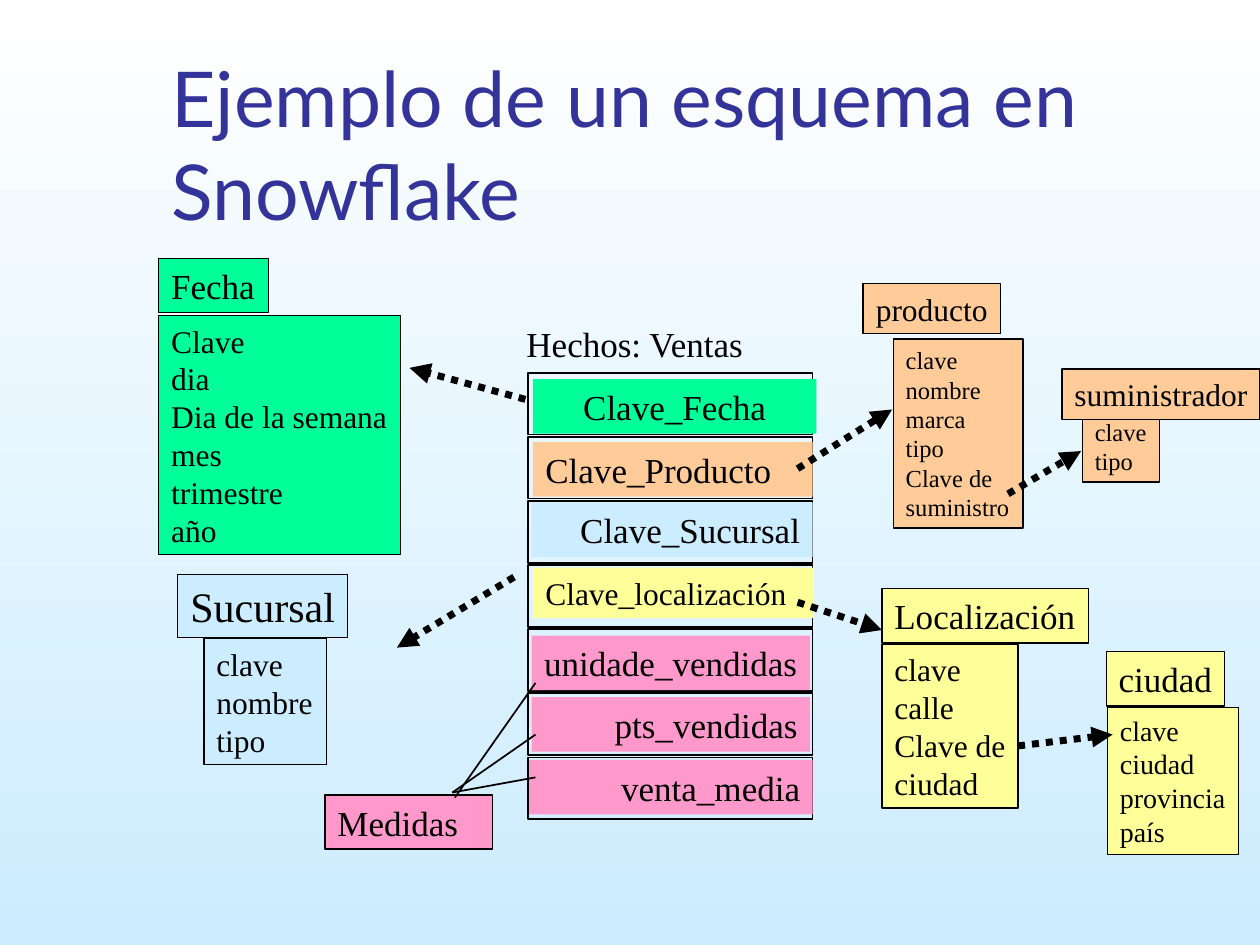
from lxml.etree import SubElement
from pptx import Presentation
from pptx.dml.color import RGBColor
from pptx.enum.dml import MSO_LINE_DASH_STYLE as Dash
from pptx.enum.shapes import MSO_CONNECTOR as Link, MSO_SHAPE as Shape
from pptx.enum.text import MSO_ANCHOR as Anchor, PP_ALIGN as Align
from pptx.oxml.ns import qn
from pptx.util import Inches, Pt

GREEN, ORANGE, BLUE = "00FF99", "FFCC99", "CCECFF"
YELLOW, PINK, BLACK = "FFFF99", "FF99CC", "000000"
SERIF = "Times New Roman"

deck = Presentation()
deck.slide_width, deck.slide_height = Inches(10), Inches(7.5)
# The grid has 100 columns and 75 rows
COLUMN, ROW = deck.slide_width / 100, deck.slide_height / 75
INSET = 1


def colour(code):
    return RGBColor.from_string(code)


def grid(*lengths):
    return [round(length * (ROW if i % 2 else COLUMN)) for i, length in enumerate(lengths)]


def text_height(size, lines=1):
    """Rows taken by lines of text with the insets above and below."""
    return round(1 + lines * size / 6, 2)


def write(shape, lines, size=20, font=SERIF, code=BLACK, align=Align.LEFT, anchor=Anchor.TOP):
    frame = shape.text_frame
    frame.word_wrap = align != Align.CENTER
    frame.vertical_anchor = anchor
    frame.margin_left = round(INSET * COLUMN)
    frame.margin_right = 0 if align == Align.LEFT else frame.margin_left
    frame.margin_top = frame.margin_bottom = round(ROW / 2)
    for i, line in enumerate(lines):
        para = frame.add_paragraph() if i else frame.paragraphs[0]
        para.alignment = align
        span = para.add_run()
        span.text = line
        span.font.size, span.font.name = Pt(size), font
        span.font.color.rgb = colour(code)


def add_box(page, box, lines=(), fill=None, line=None, **text_format):
    shape = page.shapes.add_shape(Shape.RECTANGLE, *grid(*box))
    shape.shadow.inherit = False
    if fill:
        shape.fill.solid()
        shape.fill.fore_color.rgb = colour(fill)
    else:
        shape.fill.background()
    if line:
        shape.line.color.rgb = colour(BLACK)
        shape.line.width = Pt(line)
    else:
        shape.line.fill.background()
    write(shape, lines, **text_format)


def add_line(page, start, end, width=1, dotted=False):
    line = page.shapes.add_connector(Link.STRAIGHT, *grid(*start, *end))
    line.line.color.rgb = colour(BLACK)
    line.line.width = Pt(width)
    if dotted:
        line.line.dash_style = Dash.ROUND_DOT
        SubElement(line.line._get_or_add_ln(), qn("a:tailEnd"), type="triangle")
    SubElement(line._element.spPr, qn("a:effectLst"))


def add_title(page, box, text):
    title = page.shapes.title
    title.left, title.top, title.width, title.height = grid(*box)
    write(title, [text], size=44, font="Lato", code="333399", anchor=Anchor.BOTTOM)


def add_dimension(page, corner, name, fields, fill, widths, sizes,
                  indent=0, gap=0.1, align=Align.LEFT):
    """A name box at the corner, with the box of its fields below."""
    left, top = corner
    name_height = text_height(sizes[0])
    fields_box = (left + indent, top + name_height + gap,
                  widths[1], text_height(sizes[1], len(fields)))
    add_box(page, fields_box, fields, fill, 0.75, size=sizes[1])
    add_box(page, (left, top, widths[0], name_height), [name], fill, 0.75,
            size=sizes[0], align=align)


def add_facts(page, box, heading, rows):
    """A heading and a column of framed rows, each holding a coloured bar."""
    left, top, width, height = box
    add_box(page, (left - 1.1, top - 4.5, 19.6, 4.3), [heading])
    pitch = height / len(rows)
    for i, (name, fill, size, align, dx, dy, bar_width) in enumerate(rows):
        y = top + i * pitch
        add_box(page, (left, y, width, pitch - 0.2), line=1)
        add_box(page, (left + dx, y + dy, bar_width, text_height(size)), [name], fill,
                size=size, align=align)


def add_measures(page, box, name, targets):
    """The label of the measures, with a line to each of them."""
    add_box(page, box, [name], PINK, 0.75)
    left, top = box[:2]
    for dx, dy, target in targets:
        add_line(page, (left + dx, top + dy), target)


def build(page):
    # Background and title
    fill = page.background.fill
    fill.gradient()
    fill.gradient_angle = 270
    for stop, code in zip(fill.gradient_stops, ("FFFFFF", BLUE)):
        stop.color.rgb = colour(code)
    add_title(page, (12.6, 6.7, 85.2, 12.5), "Ejemplo de un esquema en Snowflake")

    # Fact table
    add_facts(page, (41.9, 29.6, 22.6, 35.6), "Hechos: Ventas", [
        ("Clave_Fecha", GREEN, 20, Align.CENTER, 0.4, 0.5, 22.5),
        ("Clave_Producto", ORANGE, 20, Align.LEFT, 0.4, 0.4, 22.2),
        ("Clave_Sucursal", BLUE, 20, Align.RIGHT, 0.3, 0.1, 22.3),
        ("Clave_localización", YELLOW, 18, Align.LEFT, 0.4, 0.2, 22.3),
        ("unidade_vendidas", PINK, 20, Align.LEFT, 0.3, 0.5, 22.1),
        ("pts_vendidas", PINK, 20, Align.RIGHT, 0.3, 0.3, 22.1),
        ("venta_media", PINK, 20, Align.RIGHT, 0.1, 0.2, 22.5),
    ])
    add_measures(page, (25.8, 63.1, 13.3, 4.3), "Medidas", [
        (10.3, 0.2, (42.5, 54.2)), (10.1, -0.2, (42.5, 58.3)), (10.1, -0.2, (42.5, 61.7))])

    # Dimension tables
    add_dimension(page, (12.6, 20.5), "Fecha",
                  ["Clave", "dia", "Dia de la semana", "mes", "trimestre", "año"],
                  GREEN, (8.7, 19.2), (20, 18), gap=0.2)
    add_dimension(page, (14.1, 45.6), "Sucursal", ["clave", "nombre", "tipo"],
                  BLUE, (13.5, 9.7), (24, 18), indent=2.1, align=Align.CENTER)
    add_dimension(page, (68.5, 22.5), "producto",
                  ["clave", "nombre", "marca", "tipo", "Clave de", "suministro"],
                  ORANGE, (10.9, 10.3), (18, 14), indent=2.4, gap=0.4, align=Align.CENTER)
    add_dimension(page, (84.3, 29.3), "suministrador", ["clave", "tipo"],
                  ORANGE, (15.7, 6.1), (18, 14), indent=1.6, gap=-0.7, align=Align.CENTER)
    add_dimension(page, (70, 46.7), "Localización", ["clave", "calle", "Clave de", "ciudad"],
                  YELLOW, (16.4, 10.8), (20, 18))
    add_dimension(page, (87.8, 51.7), "ciudad", ["clave", "ciudad", "provincia", "país"],
                  YELLOW, (9.4, 10.4), (20, 16), indent=0.1)

    # Dotted arrows from each key to its dimension
    for start, end in [
        ((41.7, 31.7), (32.5, 29.2)), ((40.8, 45.8), (31.5, 51.4)),
        ((63.3, 37.2), (70.8, 32.5)), ((63.3, 47.8), (70, 50)),
        ((80, 39.2), (85.8, 35.8)), ((80.8, 59.2), (88.3, 58.3)),
    ]:
        add_line(page, start, end, width=4, dotted=True)


build(deck.slides.add_slide(deck.slide_layouts[5]))
deck.save("out.pptx")
